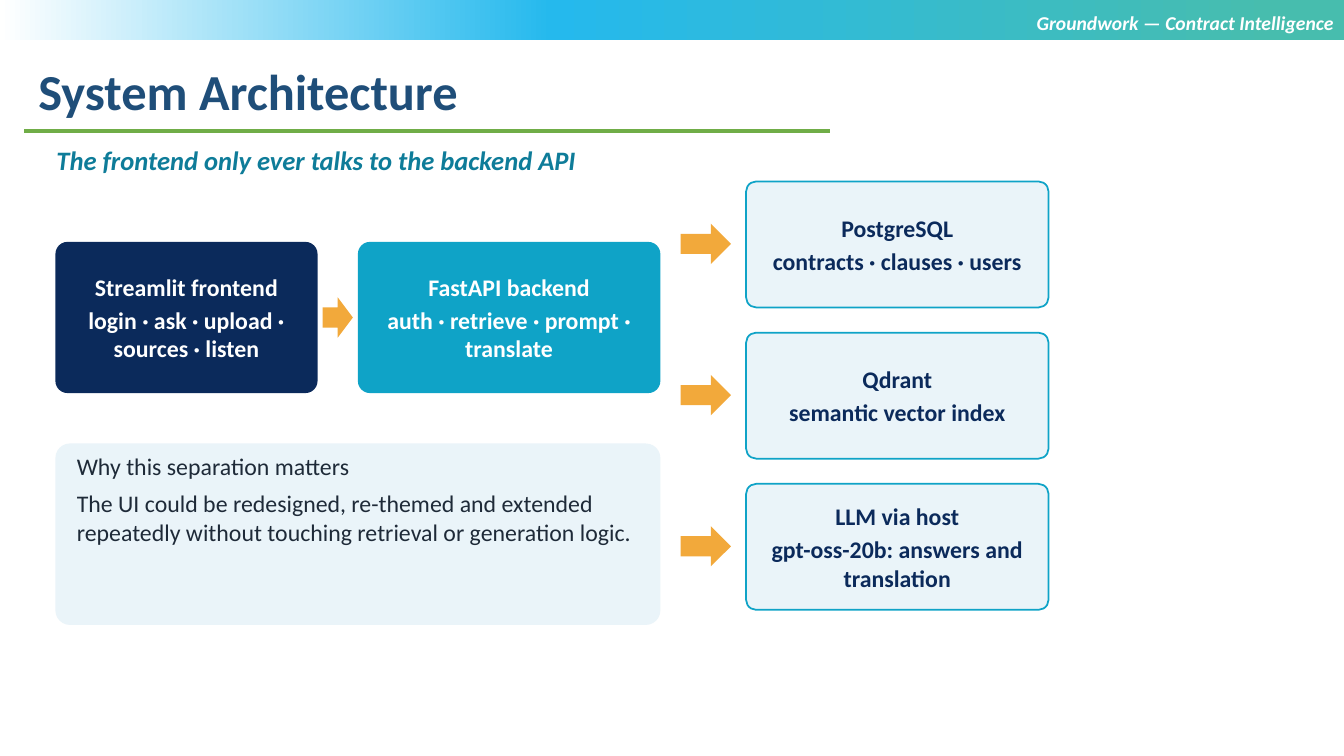
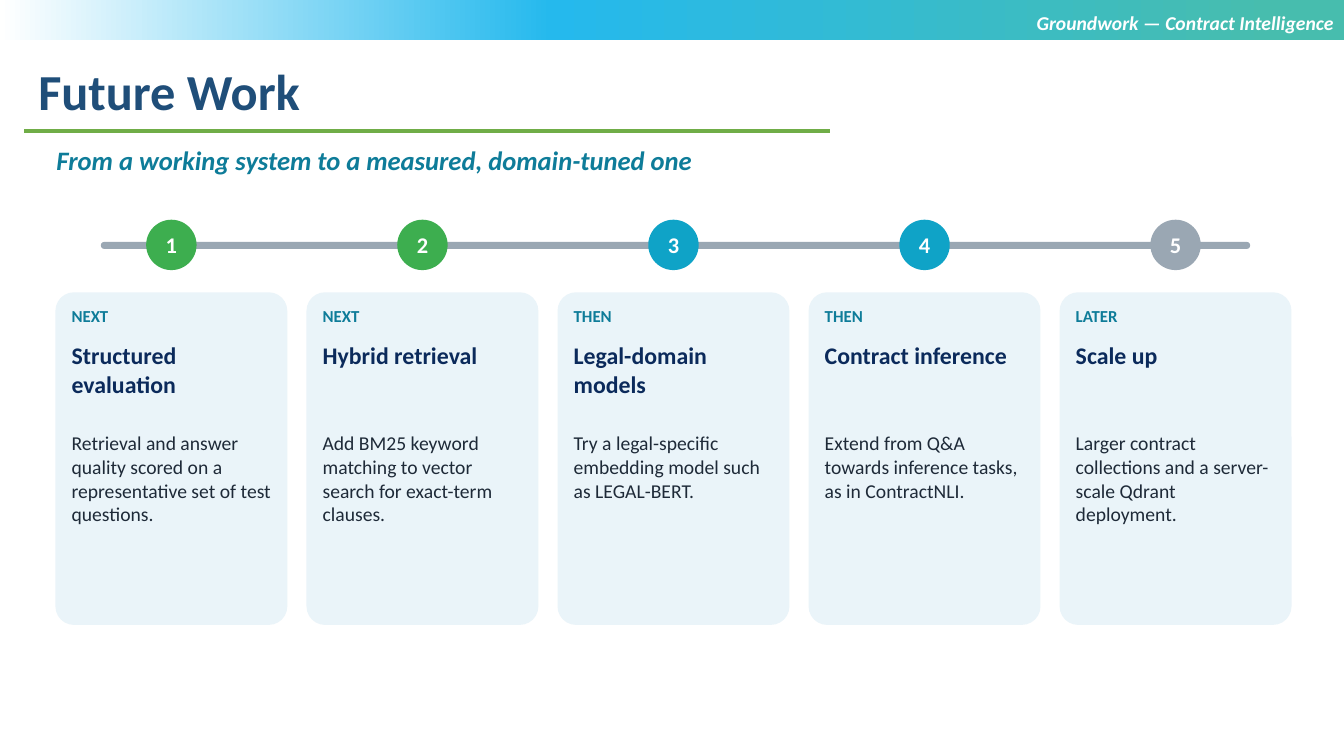
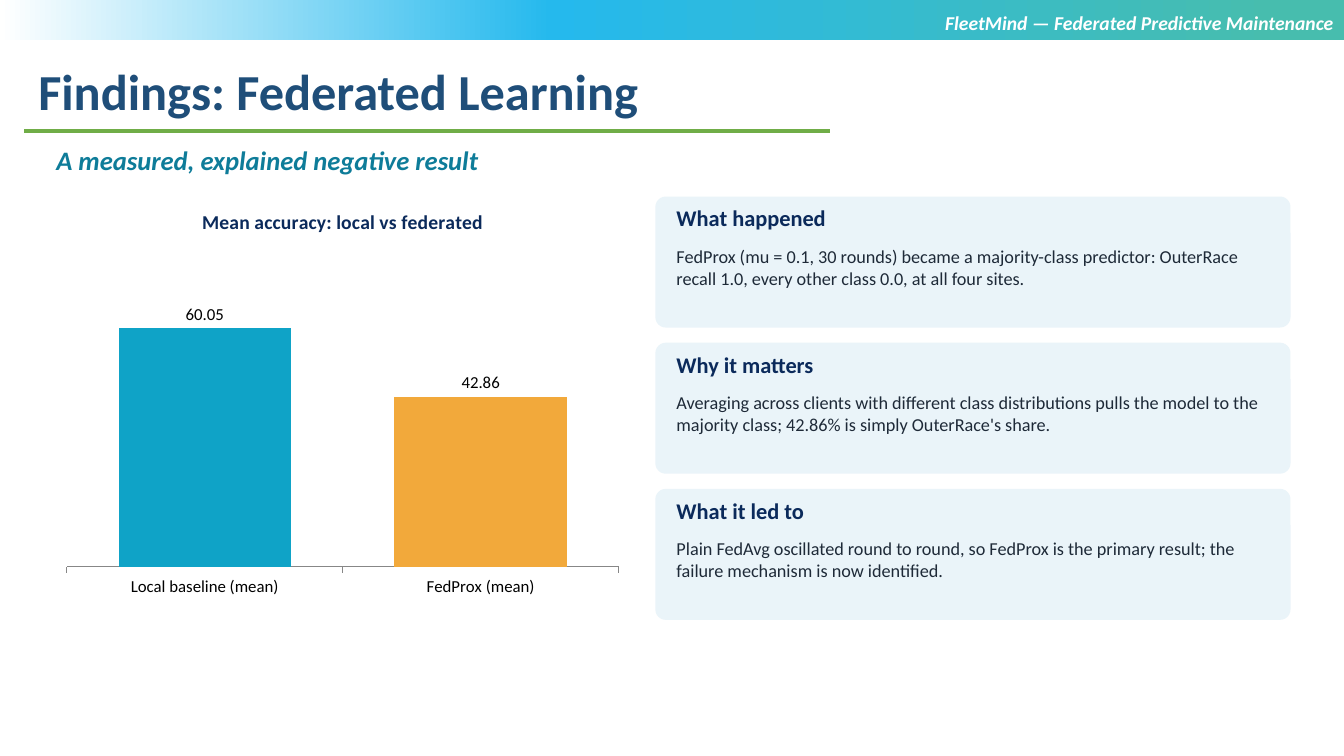
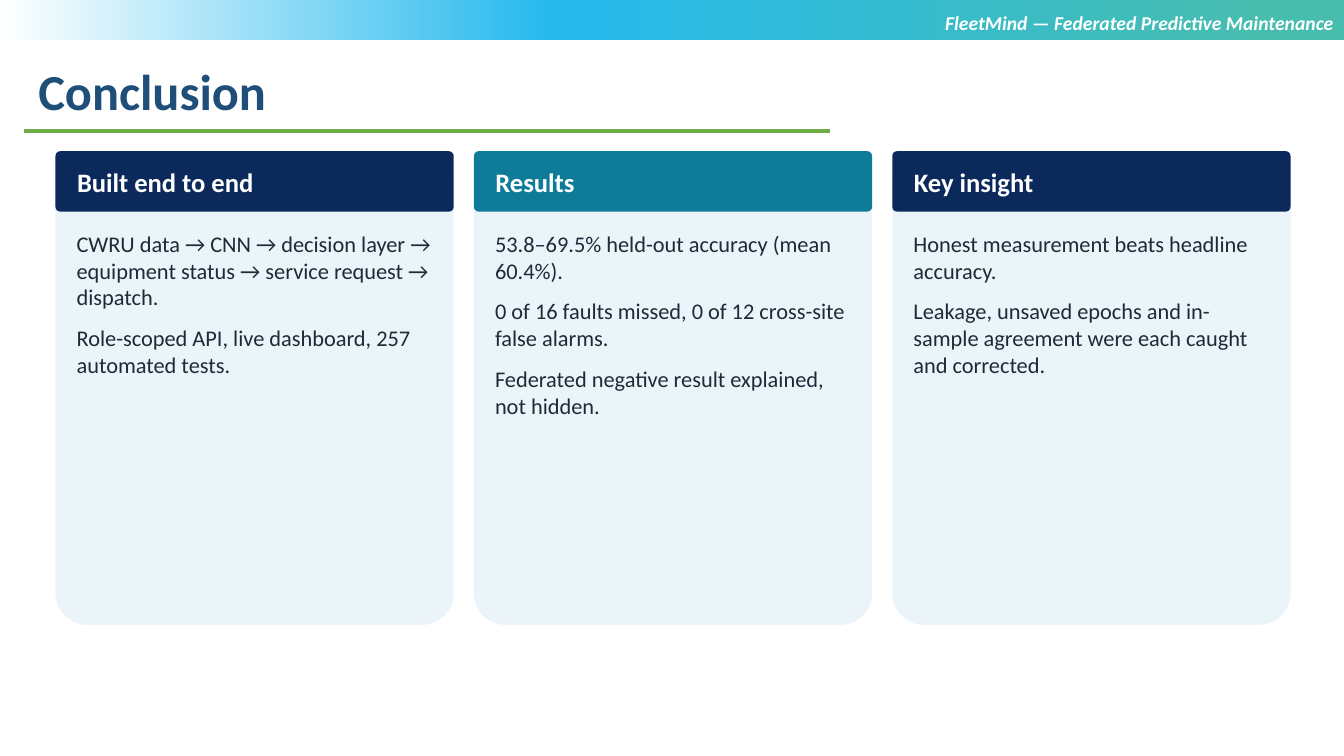
from dataclasses import dataclass

from lxml import etree
from pptx import Presentation
from pptx.chart.data import CategoryChartData
from pptx.dml.color import RGBColor
from pptx.enum.chart import XL_CHART_TYPE, XL_LABEL_POSITION, XL_TICK_MARK
from pptx.enum.shapes import MSO_CONNECTOR, MSO_SHAPE
from pptx.enum.text import MSO_ANCHOR, MSO_AUTO_SIZE, PP_ALIGN
from pptx.oxml.ns import qn
from pptx.shapes.autoshape import Shape
from pptx.slide import Slide
from pptx.text.text import Font, TextFrame
from pptx.util import Inches, Pt

RECTANGLE = MSO_SHAPE.RECTANGLE
ROUNDED = MSO_SHAPE.ROUNDED_RECTANGLE
OVAL = MSO_SHAPE.OVAL
ARROW = MSO_SHAPE.RIGHT_ARROW
LEFT, CENTER, RIGHT = PP_ALIGN.LEFT, PP_ALIGN.CENTER, PP_ALIGN.RIGHT
TOP, MIDDLE = MSO_ANCHOR.TOP, MSO_ANCHOR.MIDDLE

FONT = "Calibri"
COLORS = {
    "white": "FFFFFF",
    "title": "1F4E79",
    "rule": "70AD47",
    "navy": "0B2A5B",
    "teal": "0E7C99",
    "cyan": "0FA3C7",
    "orange": "F2A93B",
    "green": "3DAE4F",
    "grey": "9AA7B3",
    "card": "EAF4F9",
    "ink": "1E2A38",
    "black": "000000",
}
BAND_STOPS = ((5, "47BDAE"), (59, "25B9ED"), (100, "FFFFFF"))

SLIDE_WIDTH, SLIDE_HEIGHT = 13.33, 7.5
MARGIN = 0.55
CORNER = 0.08
TITLE_AND_CONTENT, COMPARISON = 1, 4  # layouts of the default template
CONTRACT_PROJECT = "Groundwork — Contract Intelligence"
FLEET_PROJECT = "FleetMind — Federated Predictive Maintenance"


@dataclass(frozen=True)
class Area:
    left: float
    top: float
    width: float
    height: float


@dataclass(frozen=True)
class Style:
    size: float
    color: str
    bold: bool = False
    italic: bool = False
    align: PP_ALIGN = LEFT
    space_after: float = 3


@dataclass(frozen=True)
class Component:
    area: Area
    lines: tuple[str, ...]
    fill: str
    text_color: str
    outline: str | None = None


@dataclass(frozen=True)
class Milestone:
    phase: str
    heading: str
    detail: str
    color: str


@dataclass(frozen=True)
class Finding:
    heading: str
    detail: str


@dataclass(frozen=True)
class Column:
    heading: str
    color: str
    points: tuple[str, ...]


TITLE = Style(36, "title", bold=True, space_after=0)
PROJECT = Style(14, "white", bold=True, italic=True, align=RIGHT, space_after=0)
SUBTITLE = Style(19, "teal", bold=True, italic=True)
TEXT_INSETS = (0.06, 0.03)


# Shared drawing helpers
def rgb(name: str) -> RGBColor:
    return RGBColor.from_string(COLORS[name])


def place(shape: Shape, area: Area) -> None:
    shape.left, shape.top = Inches(area.left), Inches(area.top)
    shape.width, shape.height = Inches(area.width), Inches(area.height)


def set_font(font: Font, style: Style) -> None:
    font.name, font.size = FONT, Pt(style.size)
    font.bold, font.italic = style.bold, style.italic
    font.color.rgb = rgb(style.color)


def write(frame: TextFrame, lines: tuple[str, ...], style: Style,
          anchor: MSO_ANCHOR = TOP,
          insets: tuple[float, float] = TEXT_INSETS) -> None:
    frame.word_wrap = True
    frame.auto_size = MSO_AUTO_SIZE.NONE
    frame.vertical_anchor = anchor
    frame.margin_left = frame.margin_right = Inches(insets[0])
    frame.margin_top = frame.margin_bottom = Inches(insets[1])
    for index, line in enumerate(lines):
        paragraph = frame.add_paragraph() if index else frame.paragraphs[0]
        paragraph.alignment = style.align
        paragraph.space_before = Pt(0)
        paragraph.space_after = Pt(style.space_after)
        run = paragraph.add_run()
        run.text = line
        set_font(run.font, style)


def add_text(slide: Slide, area: Area, text: str, style: Style,
             insets: tuple[float, float] = TEXT_INSETS) -> None:
    box = slide.shapes.add_textbox(0, 0, 0, 0)
    place(box, area)
    write(box.text_frame, (text,), style, insets=insets)


def fill_body(slide: Slide, placeholder: Shape, area: Area,
              lines: tuple[str, ...], style: Style) -> None:
    """Writes unbulleted text in a body placeholder and brings it to the front."""
    place(placeholder, area)
    write(placeholder.text_frame, lines, style)
    for paragraph in placeholder.text_frame.paragraphs:
        properties = paragraph._p.get_or_add_pPr()
        properties.set("marL", "0")
        properties.set("indent", "0")
        etree.SubElement(properties, qn("a:buNone"))
    slide.shapes.element.append(placeholder.element)


def add_block(slide: Slide, kind: MSO_SHAPE, area: Area, fill: str,
              outline: str | None = None, corner: float = CORNER) -> Shape:
    shape = slide.shapes.add_shape(kind, 0, 0, 0, 0)
    place(shape, area)
    shape.shadow.inherit = False
    shape.fill.solid()
    shape.fill.fore_color.rgb = rgb(fill)
    if outline:
        shape.line.color.rgb = rgb(outline)
        shape.line.width = Pt(1.25)
    else:
        shape.line.fill.background()
    if kind == ROUNDED:
        shape.adjustments[0] = corner
    return shape


# Band on the master, title area on each slide
def move_band_to_master(presentation: Presentation, slide: Slide) -> None:
    band = add_block(slide, RECTANGLE, Area(0, 0, SLIDE_WIDTH, 0.4), "white")
    band.fill.gradient()
    band.fill.gradient_angle = 180
    stop_list = band.element.spPr.find(".//" + qn("a:gsLst"))
    for stop in list(stop_list):
        stop_list.remove(stop)
    for position, color in BAND_STOPS:
        stop = etree.SubElement(stop_list, qn("a:gs"), pos=str(position * 1000))
        etree.SubElement(stop, qn("a:srgbClr"), val=color)
    presentation.slide_master.shapes.element.append(band.element)


def start_slide(presentation: Presentation, layout: int, title: str,
                project: str) -> Slide:
    slide = presentation.slides.add_slide(presentation.slide_layouts[layout])
    place(slide.shapes.title, Area(0.28, 0.55, 11.62, 0.7))
    write(slide.shapes.title.text_frame, (title,), TITLE, insets=(0.1, 0.05))
    rule = slide.shapes.add_connector(
        MSO_CONNECTOR.STRAIGHT,
        Inches(0.24), Inches(1.3), Inches(8.23), Inches(1.3))
    rule.line.color.rgb = rgb("rule")
    rule.line.width = Pt(2.25)
    etree.SubElement(rule.element.spPr, qn("a:effectLst"))
    add_text(slide, Area(6.66, 0.06, 6.67, 0.7), project, PROJECT, (0.1, 0.05))
    return slide


def add_subtitle(slide: Slide, text: str) -> None:
    area = Area(0.5, 1.4, 12.3, 0.42)
    fill_body(slide, slide.placeholders[1], area, (text,), SUBTITLE)


# Slide 1: architecture
def build_architecture(presentation: Presentation) -> None:
    slide = start_slide(presentation, TITLE_AND_CONTENT, "System Architecture",
                        CONTRACT_PROJECT)
    move_band_to_master(presentation, slide)
    add_subtitle(slide, "The frontend only ever talks to the backend API")

    services = (
        ("PostgreSQL", "contracts · clauses · users"),
        ("Qdrant", "semantic vector index"),
        ("LLM via host", "gpt-oss-20b: answers and translation"),
    )
    components = [
        Component(Area(MARGIN, 2.4, 2.6, 1.5),
                  ("Streamlit frontend", "login · ask · upload · sources · listen"),
                  "navy", "white"),
        Component(Area(3.55, 2.4, 3, 1.5),
                  ("FastAPI backend", "auth · retrieve · prompt · translate"),
                  "cyan", "white"),
    ]
    arrows = [Area(3.2, 2.95, 0.3, 0.4)]
    for index, lines in enumerate(services):
        top = 1.8 + 1.5 * index
        components.append(
            Component(Area(7.4, top, 3, 1.25), lines, "card", "navy", "cyan"))
        arrows.append(Area(6.75, top + 0.42, 0.5, 0.4))

    for component in components:
        block = add_block(slide, ROUNDED, component.area, component.fill,
                          component.outline)
        style = Style(17, component.text_color, bold=True, align=CENTER)
        write(block.text_frame, component.lines, style, MIDDLE, (0.07, 0.03))
    for area in arrows:
        add_block(slide, ARROW, area, "orange")

    reason = add_block(slide, ROUNDED, Area(MARGIN, 4.4, 6, 1.8), "card")
    write(reason.text_frame,
          ("Why this separation matters",
           "The UI could be redesigned, re-themed and extended repeatedly "
           "without touching retrieval or generation logic."),
          Style(17, "ink", space_after=6), insets=(0.17, 0.04))


# Slide 2: roadmap
def build_roadmap(presentation: Presentation) -> None:
    slide = start_slide(presentation, TITLE_AND_CONTENT, "Future Work",
                        CONTRACT_PROJECT)
    add_subtitle(slide, "From a working system to a measured, domain-tuned one")
    milestones = (
        Milestone("NEXT", "Structured evaluation",
                  "Retrieval and answer quality scored on a representative "
                  "set of test questions.", "green"),
        Milestone("NEXT", "Hybrid retrieval",
                  "Add BM25 keyword matching to vector search for exact-term "
                  "clauses.", "green"),
        Milestone("THEN", "Legal-domain models",
                  "Try a legal-specific embedding model such as LEGAL-BERT.",
                  "cyan"),
        Milestone("THEN", "Contract inference",
                  "Extend from Q&A towards inference tasks, as in ContractNLI.",
                  "cyan"),
        Milestone("LATER", "Scale up",
                  "Larger contract collections and a server-scale Qdrant "
                  "deployment.", "grey"),
    )
    add_block(slide, ROUNDED, Area(1, 2.4, 11.4, 0.07), "grey", corner=0.5)
    for index, milestone in enumerate(milestones):
        left = MARGIN + 2.49 * index
        marker = add_block(slide, OVAL, Area(left + 0.9, 2.18, 0.5, 0.5),
                           milestone.color)
        write(marker.text_frame, (str(index + 1),),
              Style(16, "white", bold=True, align=CENTER), MIDDLE, (0, 0.03))
        add_block(slide, ROUNDED, Area(left, 2.9, 2.3, 3.3), "card")
        for top, height, text, style in (
            (3, 0.3, milestone.phase, Style(12, "teal", bold=True)),
            (3.35, 0.85, milestone.heading, Style(17, "navy", bold=True)),
            (4.25, 1.9, milestone.detail, Style(14, "ink")),
        ):
            add_text(slide, Area(left + 0.1, top, 2.1, height), text, style)


# Slide 3: chart and findings
def add_accuracy_chart(slide: Slide) -> None:
    data = CategoryChartData()
    data.categories = ("Local baseline (mean)", "FedProx (mean)")
    data.add_series("Series 1", (60.05, 42.86))
    chart = slide.shapes.add_chart(
        XL_CHART_TYPE.COLUMN_CLUSTERED, Inches(MARGIN), Inches(1.9),
        Inches(5.7), Inches(4.1), data).chart
    set_font(chart.font, Style(12, "black"))
    chart.has_legend = False
    chart.has_title = True
    run = chart.chart_title.text_frame.paragraphs[0].add_run()
    run.text = "Mean accuracy: local vs federated"
    set_font(run.font, Style(14, "navy", bold=True))

    chart.category_axis.major_tick_mark = XL_TICK_MARK.OUTSIDE
    chart.category_axis.has_major_gridlines = False
    value_axis = chart.value_axis
    value_axis.minimum_scale, value_axis.maximum_scale = 0, 80
    value_axis.has_major_gridlines = False
    value_axis.visible = False

    plot = chart.plots[0]
    plot.gap_width, plot.overlap = 60, -5
    plot.vary_by_categories = False
    plot.has_data_labels = True
    labels = plot.data_labels
    labels.show_value = True
    labels.position = XL_LABEL_POSITION.OUTSIDE_END
    labels.number_format, labels.number_format_is_linked = "0.00", False
    set_font(labels.font, Style(12, "black"))
    series = plot.series[0]
    for part, color in ((series, "cyan"), (series.points[1], "orange")):
        part.format.fill.solid()
        part.format.fill.fore_color.rgb = rgb(color)


def build_findings(presentation: Presentation) -> None:
    slide = start_slide(presentation, TITLE_AND_CONTENT,
                        "Findings: Federated Learning", FLEET_PROJECT)
    add_subtitle(slide, "A measured, explained negative result")
    add_accuracy_chart(slide)
    findings = (
        Finding("What happened",
                "FedProx (mu = 0.1, 30 rounds) became a majority-class "
                "predictor: OuterRace recall 1.0, every other class 0.0, at "
                "all four sites."),
        Finding("Why it matters",
                "Averaging across clients with different class distributions "
                "pulls the model to the majority class; 42.86% is simply "
                "OuterRace's share."),
        Finding("What it led to",
                "Plain FedAvg oscillated round to round, so FedProx is the "
                "primary result; the failure mechanism is now identified."),
    )
    for index, finding in enumerate(findings):
        top = 1.95 + 1.45 * index
        add_block(slide, ROUNDED, Area(6.5, top, 6.3, 1.3), "card")
        add_text(slide, Area(6.65, top + 0.05, 6, 0.4), finding.heading,
                 Style(16, "navy", bold=True))
        add_text(slide, Area(6.65, top + 0.45, 6, 0.85), finding.detail,
                 Style(13, "ink"))


# Slide 4: conclusion columns
def build_conclusion(presentation: Presentation) -> None:
    slide = start_slide(presentation, COMPARISON, "Conclusion", FLEET_PROJECT)
    columns = (
        Column("Built end to end", "navy",
               ("CWRU data → CNN → decision layer → equipment status → "
                "service request → dispatch.",
                "Role-scoped API, live dashboard, 257 automated tests.")),
        Column("Results", "teal",
               ("53.8–69.5% held-out accuracy (mean 60.4%).",
                "0 of 16 faults missed, 0 of 12 cross-site false alarms.",
                "Federated negative result explained, not hidden.")),
        Column("Key insight", "navy",
               ("Honest measurement beats headline accuracy.",
                "Leakage, unsaved epochs and in-sample agreement were each "
                "caught and corrected.")),
    )
    bodies = [body for body in slide.placeholders
              if body.placeholder_format.idx > 0]
    for index, (column, body) in enumerate(zip(columns, bodies)):
        left = MARGIN + 4.15 * index
        add_block(slide, ROUNDED, Area(left, 1.5, 3.95, 4.7), "card")
        header = add_block(slide, ROUNDED, Area(left, 1.5, 3.95, 0.6),
                           column.color)
        write(header.text_frame, (column.heading,),
              Style(19, "white", bold=True), MIDDLE, (0.2, 0.03))
        fill_body(slide, body, Area(left + 0.15, 2.25, 3.65, 3.9),
                  column.points, Style(16, "ink", space_after=10))
    for unused in bodies[len(columns):]:
        slide.shapes.element.remove(unused.element)


def main() -> None:
    presentation = Presentation()
    presentation.slide_width = Inches(SLIDE_WIDTH)
    presentation.slide_height = Inches(SLIDE_HEIGHT)
    build_architecture(presentation)
    build_roadmap(presentation)
    build_findings(presentation)
    build_conclusion(presentation)
    presentation.save("out.pptx")


if __name__ == "__main__":
    main()
